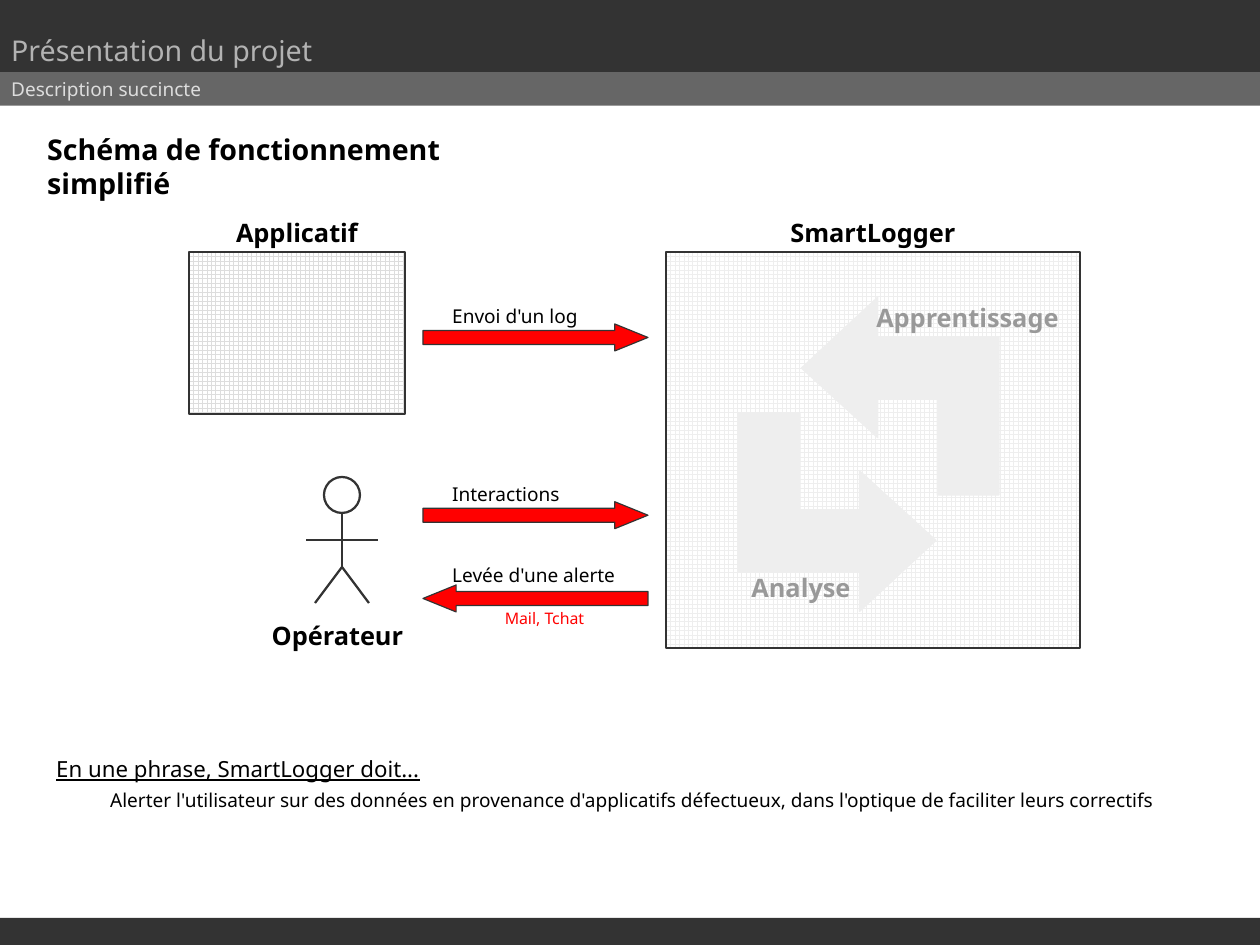
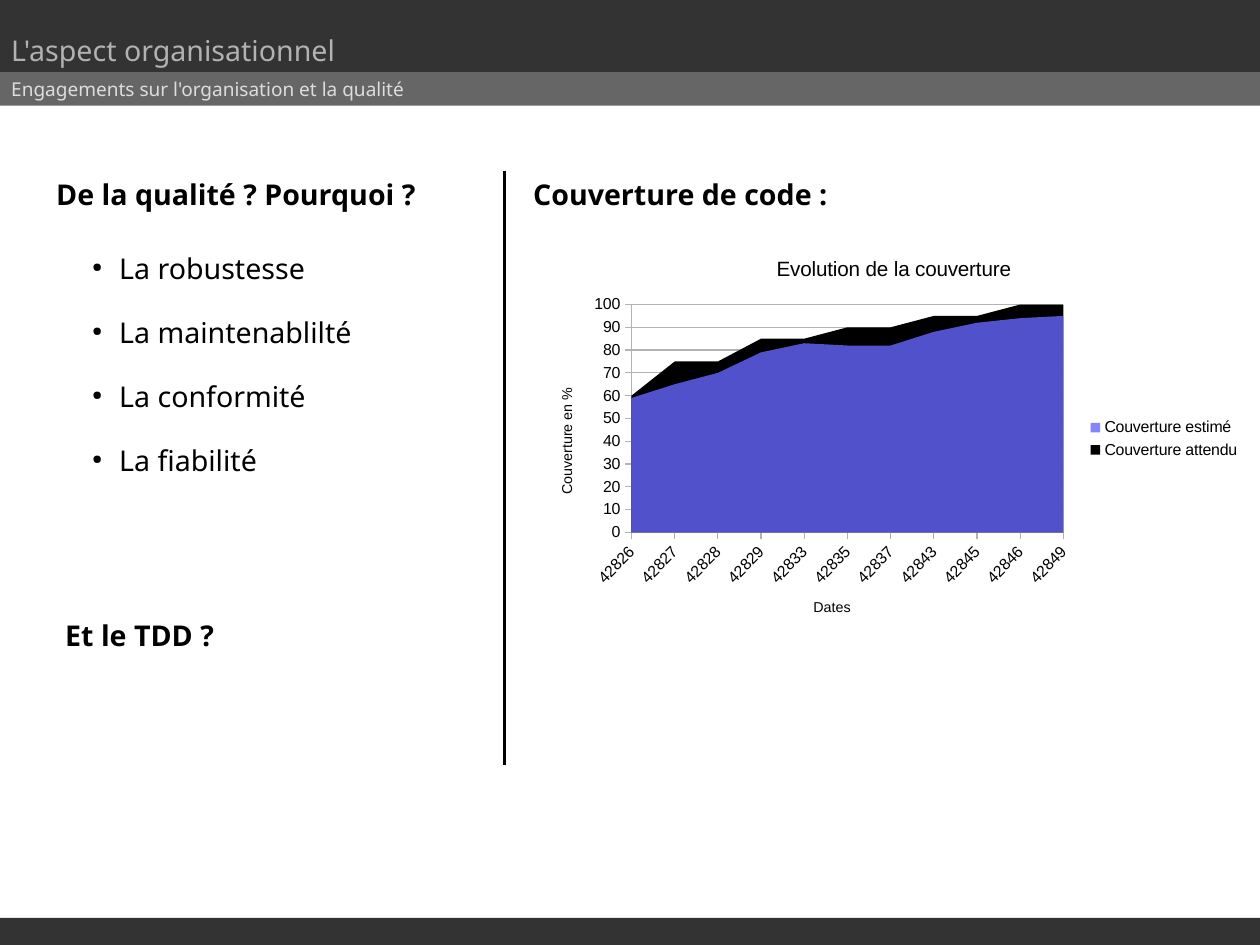
from lxml import etree
from pptx import Presentation
from pptx import util as u
from pptx.chart import data
from pptx.dml import color as dml
from pptx.enum import chart as charts, dml as patterns, shapes, text
from pptx.oxml import ns

COLORS = {
    "dark": "333333",
    "band": "666666",
    "title": "B2B2B2",
    "subtitle": "DDDDDD",
    "black": "000000",
    "white": "FFFFFF",
    "red": "FF0000",
    "cycle": "EEEEEE",
    "cycle_label": "999999",
    "grid": "B3B3B3",
    "estimate": "6666FF",
}
COLORS = {name: dml.RGBColor.from_string(value) for name, value in COLORS.items()}
Cm, Pt = u.Cm, u.Pt
SHAPE = shapes.MSO_SHAPE


def write(page, content, left, top, width, height=1.1, size=12, color="black", bold=False,
          underline=False, align=text.PP_ALIGN.LEFT, bullet=None, gap=0):
    box = page.shapes.add_textbox(Cm(left), Cm(top), Cm(width), Cm(height))
    frame = box.text_frame
    frame.word_wrap = True
    frame.auto_size = text.MSO_AUTO_SIZE.SHAPE_TO_FIT_TEXT
    for index, line in enumerate(content.split("\n")):
        para = frame.add_paragraph() if index else frame.paragraphs[0]
        para.alignment = align
        if index:
            para.space_before = Pt(gap)
        if bullet:
            properties = para._p.get_or_add_pPr()
            properties.set("marL", str(Cm(0.6)))
            properties.set("indent", str(-Cm(0.6)))
            tint = etree.SubElement(properties, ns.qn("a:buClr"))
            etree.SubElement(tint, ns.qn("a:srgbClr"), val=str(COLORS[color]))
            etree.SubElement(properties, ns.qn("a:buSzPct"), val="45000")
            etree.SubElement(properties, ns.qn("a:buChar"), char=bullet)
        span = para.add_run()
        span.text = line
        span.font.name = "Noto Sans"
        span.font.size = Pt(size)
        span.font.bold = bold
        span.font.underline = underline
        span.font.color.rgb = COLORS[color]


def paint(shape, fill=None, line=None, weight=0):
    if line:
        shape.line.color.rgb = COLORS[line]
        shape.line.width = Pt(weight)
    else:
        shape.line.fill.background()
    if shape.shape_type == shapes.MSO_SHAPE_TYPE.LINE:
        etree.SubElement(shape._element.spPr, ns.qn("a:effectLst"))
        return
    shape.shadow.inherit = False
    if fill:
        shape.fill.solid()
        shape.fill.fore_color.rgb = COLORS[fill]
    else:
        shape.fill.background()


deck = Presentation()
deck.slide_width, deck.slide_height = Cm(28), Cm(21)

HEADERS = [
    ("Présentation du projet", "Description succincte"),
    ("L'aspect organisationnel", "Engagements sur l'organisation et la qualité"),
]
BANDS = [(1.4, 0.95, "band"), (20.4, 0.6, "dark"), (0, 1.6, "dark")]
pages = []
for title, subtitle in HEADERS:
    page = deck.slides.add_slide(deck.slide_layouts[6])
    for top, height, fill in BANDS:
        band = page.shapes.add_shape(SHAPE.RECTANGLE, 0, Cm(top), Cm(28), Cm(height))
        paint(band, fill)
    write(page, title, 0, 0.6, 11, size=18, color="title")
    write(page, subtitle, 0, 1.6, 28, 0.84, color="subtitle")
    pages.append(page)

schema, quality = pages
CENTER = text.PP_ALIGN.CENTER

write(schema, "Schéma de fonctionnement simplifié", 0.8, 2.8, 12, 2, size=18, bold=True)

SYSTEMS = [
    ("Applicatif", 4.2, 4.8, 3.6, "subtitle"),
    ("SmartLogger", 14.8, 9.2, 8.8, "cycle"),
]
for name, left, width, height, grid in SYSTEMS:
    system = schema.shapes.add_shape(SHAPE.RECTANGLE, Cm(left), Cm(5.6), Cm(width), Cm(height))
    paint(system, "white", "dark", 1.42)
    system.fill.patterned()
    system.fill.pattern = patterns.MSO_PATTERN.LARGE_GRID
    system.fill.fore_color.rgb = COLORS[grid]
    system.fill.back_color.rgb = COLORS["white"]
    write(schema, name, left, 4.7, width, size=16, bold=True, align=CENTER)

FLOWS = [
    ("Envoi d'un log", 6.65, 7.2, SHAPE.RIGHT_ARROW),
    ("Interactions", 10.6, 11.15, SHAPE.RIGHT_ARROW),
    ("Levée d'une alerte", 12.4, 13, SHAPE.LEFT_ARROW),
]
for label, label_top, arrow_top, kind in FLOWS:
    arrow = schema.shapes.add_shape(kind, Cm(9.4), Cm(arrow_top), Cm(5), Cm(0.6))
    arrow.adjustments[0], arrow.adjustments[1] = 0.52, 1.23
    paint(arrow, "red", "dark")
    write(schema, label, 9.8, label_top, 4.6)
write(schema, "Mail, Tchat", 10.4, 13.4, 3.4, size=10, color="red", align=CENTER)

head = schema.shapes.add_shape(SHAPE.OVAL, Cm(7.2), Cm(10.6), Cm(0.8), Cm(0.8))
paint(head, None, "dark", 1.42)
LIMBS = [
    (7.6, 12.6, 7, 13.4),
    (7.6, 12.6, 8.2, 13.4),
    (7.6, 12.6, 7.6, 11.4),
    (8.4, 12, 6.8, 12),
]
for limb_ends in LIMBS:
    limb = schema.shapes.add_connector(shapes.MSO_CONNECTOR.STRAIGHT, *map(Cm, limb_ends))
    paint(limb, line="dark", weight=1.42)
write(schema, "Opérateur", 5.6, 13.65, 3.8, size=16, bold=True, align=CENTER)

ANALYSIS = [(19.1, 10.46), (19.1, 11.33), (17.78, 11.33), (17.78, 9.19), (16.41, 9.19),
            (16.41, 12.7), (19.1, 12.7), (19.1, 13.59), (20.8, 12.01)]
LEARNING = [(38.61 - x, 20.19 - y) for x, y in ANALYSIS]
for outline in (ANALYSIS, LEARNING):
    points = [(Cm(x), Cm(y)) for x, y in outline]
    builder = schema.shapes.build_freeform(*points[0])
    builder.add_line_segments(points[1:], close=True)
    paint(builder.convert_to_shape(), "cycle", "cycle")
for label, left, top, width in [("Analyse", 15.6, 12.6, 4.4), ("Apprentissage", 18.8, 6.6, 5.4)]:
    write(schema, label, left, top, width, size=16, color="cycle_label", bold=True, align=CENTER)

write(schema, "En une phrase, SmartLogger doit...", 1, 16.65, 9.8, size=14, underline=True)
write(schema, "Alerter l'utilisateur sur des données en provenance d'applicatifs défectueux, "
      "dans l'optique de faciliter leurs correctifs", 2.2, 17.4, 23.8)

HEADINGS = [
    ("De la qualité ? Pourquoi ?", 1, 3.8),
    ("Et le TDD ?", 1.2, 13.6),
    ("Couverture de code :", 11.6, 3.8),
]
for heading, left, top in HEADINGS:
    write(quality, heading, left, top, 10, size=18, bold=True)
write(quality, "La robustesse\nLa maintenablilté\nLa conformité\nLa fiabilité",
      1.8, 5.45, 9, 6.7, size=18, bullet="●", gap=18.7)
divider = quality.shapes.add_connector(
    shapes.MSO_CONNECTOR.STRAIGHT, Cm(11.22), Cm(3.8), Cm(11.22), Cm(17))
paint(divider, line="black")

coverage = data.CategoryChartData()
coverage.categories = ["42826", "42827", "42828", "42829", "42833", "42835",
                       "42837", "42843", "42845", "42846", "42849"]
coverage.add_series("Couverture estimé", [59, 65, 70, 79, 83, 82, 82, 88, 92, 94, 95])
coverage.add_series("Couverture attendu", [60, 75, 75, 85, 85, 90, 90, 95, 95, 100, 100])
chart = quality.shapes.add_chart(
    charts.XL_CHART_TYPE.AREA, Cm(11.9), Cm(5.3), Cm(15.92), Cm(8.9), coverage).chart
chart.font.name = "Arial"
chart.font.size = Pt(10)
chart.font.color.rgb = COLORS["black"]
chart.has_legend = True
chart.legend.position = charts.XL_LEGEND_POSITION.RIGHT
chart.legend.include_in_layout = False
chart.plots[0].vary_by_categories = False
for series, fill in zip(chart.plots[0].series, ("estimate", "black")):
    series.format.fill.solid()
    series.format.fill.fore_color.rgb = COLORS[fill]
    series.format.line.fill.background()
estimate_color = chart.plots[0].series[0]._element.find(".//" + ns.qn("a:srgbClr"))
etree.SubElement(estimate_color, ns.qn("a:alpha"), val="80000")

dates, percent = chart.category_axis, chart.value_axis
chart.has_title = True
TITLES = [(chart, "Evolution de la couverture", 13), (dates, "Dates", 9), (percent, "Couverture en %", 9)]
for owner, caption, size in TITLES:
    title_owner = owner.chart_title if owner is chart else owner.axis_title
    title_owner.text_frame.text = caption
    font = title_owner.text_frame.paragraphs[0].runs[0].font
    font.name, font.size, font.bold = "Arial", Pt(size), False
    font.color.rgb = COLORS["black"]
percent.minimum_scale, percent.maximum_scale, percent.major_unit = 0, 100, 10
percent.has_major_gridlines = True
dates.has_major_gridlines = False
for axis in (dates, percent):
    axis.major_tick_mark = charts.XL_TICK_MARK.OUTSIDE
    axis.minor_tick_mark = charts.XL_TICK_MARK.NONE
    axis.tick_labels.font.size = Pt(10)
for ruled in (dates, percent, percent.major_gridlines):
    ruled.format.line.color.rgb = COLORS["grid"]
    ruled.format.line.width = Pt(0)
dates._element.find(ns.qn("c:txPr")).find(ns.qn("a:bodyPr")).set("rot", "-2700000")
percent._element.find(ns.qn("c:crossBetween")).set("val", "midCat")

plot_area = chart._chartSpace.find(".//" + ns.qn("c:plotArea"))
for layout in plot_area.findall(ns.qn("c:layout")):
    plot_area.remove(layout)
layout = etree.Element(ns.qn("c:layout"))
manual = etree.SubElement(layout, ns.qn("c:manualLayout"))
PLOT = [("layoutTarget", "inner"), ("xMode", "edge"), ("yMode", "edge"),
        ("x", "0.134"), ("y", "0.165"), ("w", "0.603"), ("h", "0.569")]
for tag, value in PLOT:
    etree.SubElement(manual, ns.qn("c:" + tag), val=value)
plot_area.insert(0, layout)

deck.save("out.pptx")
